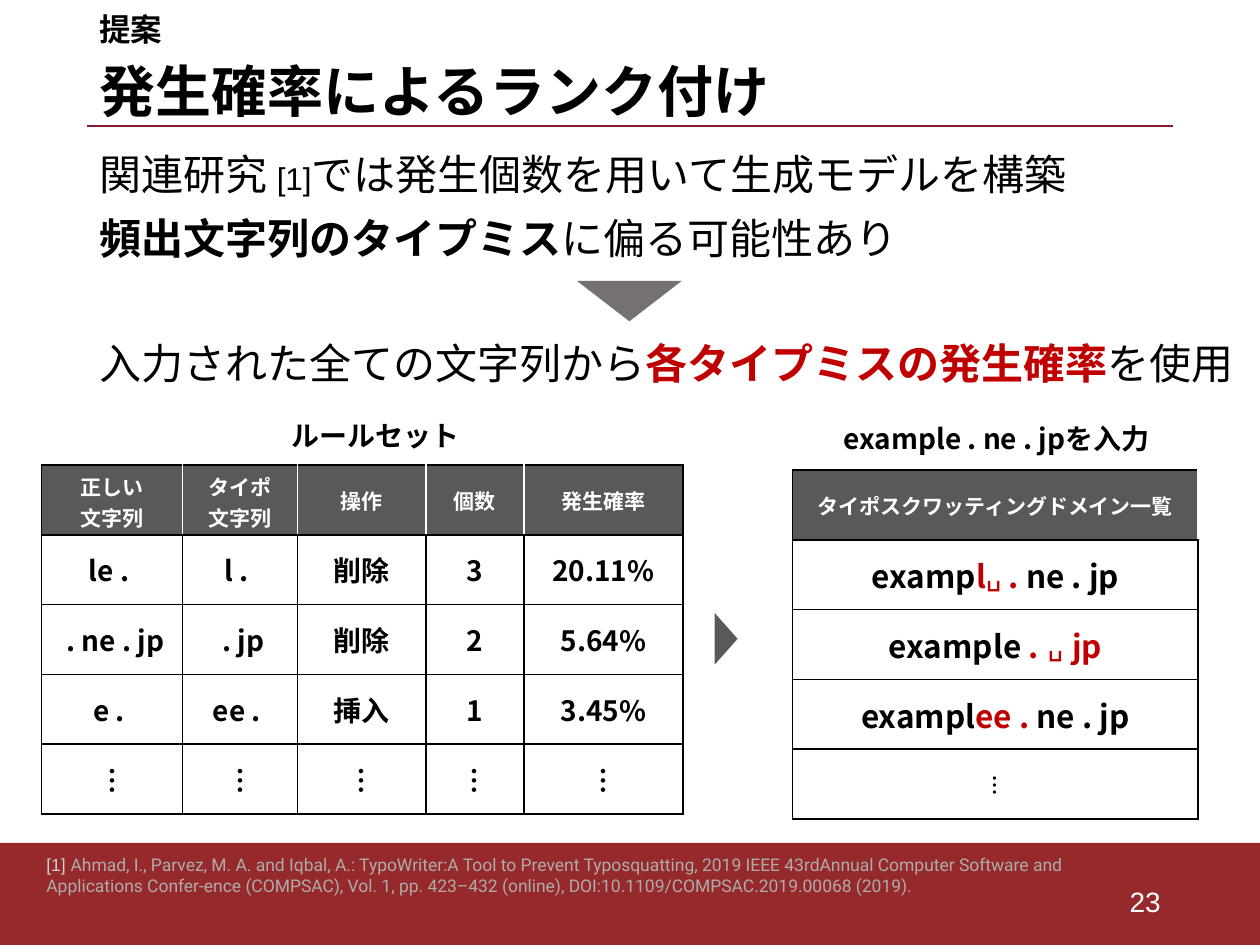
from lxml import etree
from pptx import Presentation
from pptx.dml.color import RGBColor
from pptx.enum.shapes import MSO_CONNECTOR, MSO_SHAPE
from pptx.enum.text import MSO_ANCHOR, PP_ALIGN
from pptx.oxml.ns import qn
from pptx.util import Inches, Pt

LEFT, CENTER, RIGHT = PP_ALIGN.LEFT, PP_ALIGN.CENTER, PP_ALIGN.RIGHT
TOP, MIDDLE = MSO_ANCHOR.TOP, MSO_ANCHOR.MIDDLE
RECTANGLE, TRIANGLE = MSO_SHAPE.RECTANGLE, MSO_SHAPE.ISOSCELES_TRIANGLE
STRAIGHT = MSO_CONNECTOR.STRAIGHT

COLORS = {
    "black": "000000", "white": "FFFFFF", "accent": "C00000",
    "band": "95292B", "rule": "8D1930", "header": "595959",
    "arrow": "767171", "mark": "D0CECE", "citation": "AFABAB",
}
SANS, JAPANESE, REFERENCE = "Arial", "Noto Sans CJK JP", "Roboto"


def color(name):
    return RGBColor.from_string(COLORS[name])


class SlideBuilder:
    """Places elements on a grid of 100 columns by 75 rows."""

    def __init__(self, deck):
        self.page = deck.slides.add_slide(deck.slide_layouts[6])
        self.unit = deck.slide_width / 100

    def grid(self, *lengths):
        return [round(length * self.unit) for length in lengths]

    def set_font(self, font, size=None, name=None, ink=None, bold=None):
        if size:
            font.size = Pt(size)
        if name:
            font.name = name
        if ink:
            font.color.rgb = color(ink)
        if bold is not None:
            font.bold = bold

    def fill_text(self, frame, paragraphs, align=LEFT, before=(), spacing=None, **style):
        """Each paragraph is a string or a list of (text, font changes) spans."""
        for index, spans in enumerate(paragraphs):
            para = frame.paragraphs[0] if index == 0 else frame.add_paragraph()
            para.alignment = align
            if index and before:
                para.space_before = Pt(before[index - 1])
            if spacing:
                para.line_spacing = spacing
            self.set_font(para.font, **style)
            if style["name"] == JAPANESE:
                defaults = para._p.pPr.find(qn("a:defRPr"))
                etree.SubElement(defaults, qn("a:ea"), typeface=JAPANESE)
            for text, changes in [(spans, {})] if isinstance(spans, str) else spans:
                span = para.add_run()
                span.text = text
                self.set_font(span.font, **changes)

    def text(self, place, paragraphs, anchor=TOP, **style):
        box = self.page.shapes.add_textbox(*self.grid(*place))
        box.text_frame.word_wrap = True
        box.text_frame.vertical_anchor = anchor
        self.fill_text(box.text_frame, paragraphs, **style)

    def shape(self, kind, place, fill, turn=0, outline=None):
        shape = self.page.shapes.add_shape(kind, *self.grid(*place))
        shape.shadow.inherit = False
        shape.rotation = turn
        shape.fill.solid()
        shape.fill.fore_color.rgb = color(fill)
        if outline:
            shape.line.color.rgb = color(outline)
            shape.line.width = Pt(1)
        else:
            shape.line.fill.background()

    def line(self, start, end, ink, width):
        line = self.page.shapes.add_connector(STRAIGHT, *self.grid(*start, *end))
        line.line.color.rgb = color(ink)
        line.line.width = Pt(width)
        etree.SubElement(line._element.spPr, qn("a:effectLst"))

    def border(self, cell, **edges):
        properties = cell._tc.get_or_add_tcPr()
        for index, edge in enumerate("LRTB"):
            line = etree.Element(qn(f"a:ln{edge}"), w=str(Pt(1)))
            fill = etree.SubElement(line, qn("a:solidFill"))
            etree.SubElement(fill, qn("a:srgbClr"), val=COLORS[edges.get(edge, "black")])
            properties.insert(index, line)

    def table(self, left, top, widths, row_height, rows, size, white_edges):
        """Cells hold lists of paragraphs; white_edges gives each header cell's."""
        place = self.grid(left, top, sum(widths), row_height * len(rows))
        table = self.page.shapes.add_table(len(rows), len(widths), *place).table
        for column, width in zip(table.columns, self.grid(*widths)):
            column.width = width
        for r, row in enumerate(rows):
            for c, paragraphs in enumerate(row):
                cell = table.cell(r, c)
                header = r == 0
                cell.vertical_anchor = MIDDLE
                cell.fill.solid()
                cell.fill.fore_color.rgb = color("header" if header else "white")
                edges = white_edges[c] if header else ""
                self.border(cell, **dict.fromkeys(edges, "white"))
                self.fill_text(cell.text_frame, paragraphs, align=CENTER,
                               size=12 if header else size, name=JAPANESE, bold=True,
                               ink="white" if header else "black")


def main():
    deck = Presentation()
    deck.slide_width, deck.slide_height = Inches(10), Inches(7.5)
    slide = SlideBuilder(deck)
    red, strong = {"ink": "accent"}, {"bold": True}
    space = {"ink": "accent", "name": SANS, "bold": False}

    # Footer band and title rule
    slide.shape(RECTANGLE, (0, 66.9, 100, 8.1), "band")
    slide.line((6.9, 10), (93.1, 10), "rule", 1.5)

    # Heading
    slide.text((6.9, 0.3, 86.2, 4), ["提案"], size=18, name=SANS, ink="black", bold=True)
    slide.text((6.9, 4.3, 86.2, 6.4), ["発生確率によるランク付け"], anchor=MIDDLE,
               spacing=0.9, size=32, name=SANS, ink="black", bold=True)

    # Argument, with room for the arrow before its last line
    slide.text((6.9, 11.3, 93.1, 54.6), [
        [("関連研究 ", {}), ("[1]", {"size": 18}),
         ("では発生個数を用いて生成モデルを構築", {})],
        [("頻出文字列のタイプミス", strong), ("に偏る可能性あり", {})],
        [("入力された全ての文字列から", {}),
         ("各タイプミスの発生確率", red | strong), ("を使用", {})],
    ], before=(7.5, 43), size=24, name=SANS, ink="black")
    slide.shape(TRIANGLE, (45.8, 22.3, 8.3, 3.2), "arrow", turn=180)

    # Rule set
    caption = {"align": CENTER, "size": 16, "name": JAPANESE, "ink": "black", "bold": True}
    slide.text((13.6, 32.7, 32.4, 3.7), ["ルールセット"], **caption)
    rules = [
        ("le . ", "l . ", "削除", "3", "20.11%"),
        (" . ne . jp", " . jp", "削除", "2", "5.64%"),
        ("e . ", "ee . ", "挿入", "1", "3.45%"),
        ("︙",) * 5,
    ]
    headings = [["正しい", "文字列"], ["タイポ", "文字列"], ["操作"], ["個数"], ["発生確率"]]
    slide.table(3.3, 36.9, (11.2, 9.1, 10.2, 7.8, 12.6), 5.54,
                [headings] + [[[text] for text in rule] for rule in rules],
                size=16, white_edges=("R", "LR", "LR", "LR", "L"))

    # Arrow to the generated domains
    slide.shape(TRIANGLE, (55.4, 49.7, 4.5, 2), "header", turn=90, outline="white")
    slide.text((65, 33, 28.2, 3.7), ["example . ne . jpを入力"], **caption)
    domains = [
        "タイポスクワッティングドメイン一覧",
        [("examp", {}), ("l", red), ("␣", space), (" .", red), (" ne . jp", {})],
        [("example ", {}), (".", red), (" ␣ ", space), ("jp", red)],
        [("exampl", {}), ("ee .", red), (" ne . jp", {})],
        [("︙", {"size": 12})],
    ]
    slide.table(62.9, 37.3, (32.2,), 5.54, [[[domain]] for domain in domains],
                size=18, white_edges=("R",))

    # Citation and page number
    slide.text((2.7, 67.3, 83.6, 4.4), [[
        ("[1] ", {"name": SANS, "ink": "mark"}),
        ("Ahmad, I., Parvez, M. A. and Iqbal, A.: TypoWriter:A Tool to Prevent "
         "Typosquatting, 2019 IEEE 43rdAnnual Computer Software and Applications "
         "Confer-ence (COMPSAC), Vol. 1, pp. 423–432 (online), "
         "DOI:10.1109/COMPSAC.2019.00068 (2019).", {}),
    ]], size=10, name=REFERENCE, ink="citation")
    slide.text((70.6, 69.5, 22.5, 4), ["23"], anchor=MIDDLE, align=RIGHT,
               size=16, name=SANS, ink="white")

    deck.save("out.pptx")


if __name__ == "__main__":
    main()
